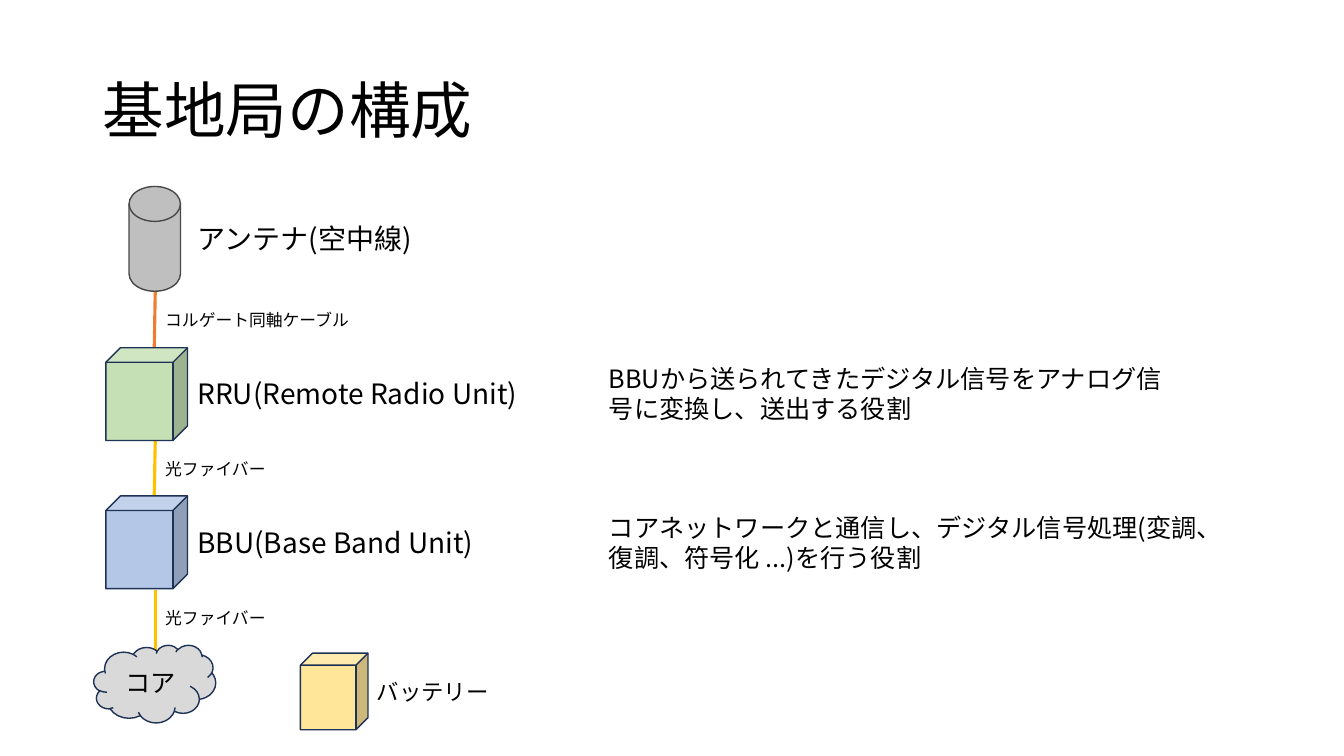
from dataclasses import dataclass

from lxml.etree import SubElement
from pptx import Presentation
from pptx.dml.color import RGBColor
from pptx.enum.shapes import MSO_CONNECTOR, MSO_SHAPE
from pptx.enum.text import MSO_ANCHOR, MSO_AUTO_SIZE, PP_ALIGN
from pptx.oxml.ns import qn
from pptx.slide import Slide
from pptx.text.text import TextFrame
from pptx.util import Inches, Pt

FONT = "Noto Sans CJK JP"
BLACK = RGBColor(0x00, 0x00, 0x00)
NAVY = RGBColor(0x1E, 0x32, 0x56)
DARK_GRAY = RGBColor(0x48, 0x48, 0x48)
GRAY = RGBColor(0xBF, 0xBF, 0xBF)
LIGHT_GRAY = RGBColor(0xD9, 0xD9, 0xD9)
GREEN = RGBColor(0xC5, 0xE0, 0xB4)
BLUE = RGBColor(0xB4, 0xC7, 0xE7)
YELLOW = RGBColor(0xFF, 0xE6, 0x99)
ORANGE = RGBColor(0xED, 0x7D, 0x31)
GOLD = RGBColor(0xFF, 0xC0, 0x00)

CUBE_DEPTH = 0.178
CABLE_LABEL_TOP = 3.02
CABLE_LABEL_STEP = 1.48


@dataclass
class Device:
    kind: MSO_SHAPE
    left: float
    top: float
    width: float
    height: float
    fill: RGBColor
    outline: RGBColor = NAVY
    text: str = ""


@dataclass
class Cable:
    name: str
    color: RGBColor
    start: tuple[float, float]
    end: tuple[float, float]


@dataclass
class Label:
    text: str
    left: float
    top: float
    width: float
    height: float
    size: int


DEVICES = [
    Device(MSO_SHAPE.FLOWCHART_MAGNETIC_DISK, 1.28, 1.85, 0.51, 1.04, GRAY, DARK_GRAY),
    Device(MSO_SHAPE.CUBE, 1.05, 3.45, 0.81, 0.92, GREEN),
    Device(MSO_SHAPE.CUBE, 1.05, 4.92, 0.81, 0.92, BLUE),
    Device(MSO_SHAPE.CLOUD, 0.93, 6.4, 1.21, 0.77, LIGHT_GRAY, text="コア"),
    Device(MSO_SHAPE.CUBE, 2.98, 6.48, 0.67, 0.76, YELLOW),
]

CABLES = [
    Cable("コルゲート同軸ケーブル", ORANGE, (1.53, 3.45), (1.54, 2.89)),
    Cable("光ファイバー", GOLD, (1.53, 4.92), (1.54, 4.37)),
    Cable("光ファイバー", GOLD, (1.54, 6.45), (1.54, 5.85)),
]

LABELS = [
    Label("アンテナ(空中線)", 1.86, 2.15, 2.46, 0.44, 20),
    Label("RRU(Remote Radio Unit)", 1.86, 3.69, 3.43, 0.44, 20),
    Label("BBU(Base Band Unit)", 1.86, 5.16, 3.43, 0.44, 20),
    Label("バッテリー", 3.64, 6.68, 1.35, 0.37, 16),
    Label("BBUから送られてきたデジタル信号をアナログ信号に変換し、送出する役割",
          5.94, 3.55, 5.92, 0.71, 18),
    Label("コアネットワークと通信し、デジタル信号処理(変調、復調、符号化 ...)を行う役割",
          5.94, 5.03, 6.07, 0.71, 18),
]


def write_text(frame: TextFrame, text: str, size: int) -> None:
    frame.word_wrap = True
    paragraph = frame.paragraphs[0]
    paragraph.text = text
    paragraph.font.size = Pt(size)
    paragraph.font.color.rgb = BLACK
    paragraph.font.name = FONT
    # Japanese glyphs take the East Asian font
    defaults = paragraph._p.pPr.find(qn("a:defRPr"))
    SubElement(defaults, qn("a:ea")).set("typeface", FONT)


def add_label(slide: Slide, label: Label) -> TextFrame:
    box = slide.shapes.add_textbox(Inches(label.left), Inches(label.top),
                                   Inches(label.width), Inches(label.height))
    write_text(box.text_frame, label.text, label.size)
    box.text_frame.auto_size = MSO_AUTO_SIZE.SHAPE_TO_FIT_TEXT
    return box.text_frame


def add_title(slide: Slide) -> None:
    frame = add_label(slide, Label("基地局の構成", 0.92, 0.4, 11.5, 1.45, 44))
    frame.auto_size = MSO_AUTO_SIZE.NONE
    frame.vertical_anchor = MSO_ANCHOR.MIDDLE
    frame.paragraphs[0].line_spacing = 0.9


def add_cable(slide: Slide, cable: Cable) -> None:
    points = [Inches(value) for value in cable.start + cable.end]
    connector = slide.shapes.add_connector(MSO_CONNECTOR.STRAIGHT, *points)
    connector.line.color.rgb = cable.color
    connector.line.width = Pt(2.25)
    SubElement(connector._element.spPr, qn("a:effectLst"))


def add_device(slide: Slide, device: Device) -> None:
    shape = slide.shapes.add_shape(device.kind, Inches(device.left), Inches(device.top),
                                   Inches(device.width), Inches(device.height))
    shape.shadow.inherit = False
    shape.fill.solid()
    shape.fill.fore_color.rgb = device.fill
    shape.line.color.rgb = device.outline
    shape.line.width = Pt(1)
    if device.kind == MSO_SHAPE.CUBE:
        shape.adjustments[0] = CUBE_DEPTH
    if device.text:
        write_text(shape.text_frame, device.text, 18)
        shape.text_frame.vertical_anchor = MSO_ANCHOR.MIDDLE
        shape.text_frame.paragraphs[0].alignment = PP_ALIGN.CENTER


def main() -> None:
    presentation = Presentation()
    presentation.slide_width = Inches(13.33)
    presentation.slide_height = Inches(7.5)
    slide = presentation.slides.add_slide(presentation.slide_layouts[6])

    add_title(slide)

    # Cables with their names, behind the devices
    for row, cable in enumerate(CABLES):
        add_cable(slide, cable)
        top = CABLE_LABEL_TOP + row * CABLE_LABEL_STEP
        add_label(slide, Label(cable.name, 1.54, top, 2.11, 0.3, 12))

    # Devices, then their names and roles
    for device in DEVICES:
        add_device(slide, device)
    for label in LABELS:
        add_label(slide, label)

    presentation.save("out.pptx")


if __name__ == "__main__":
    main()
